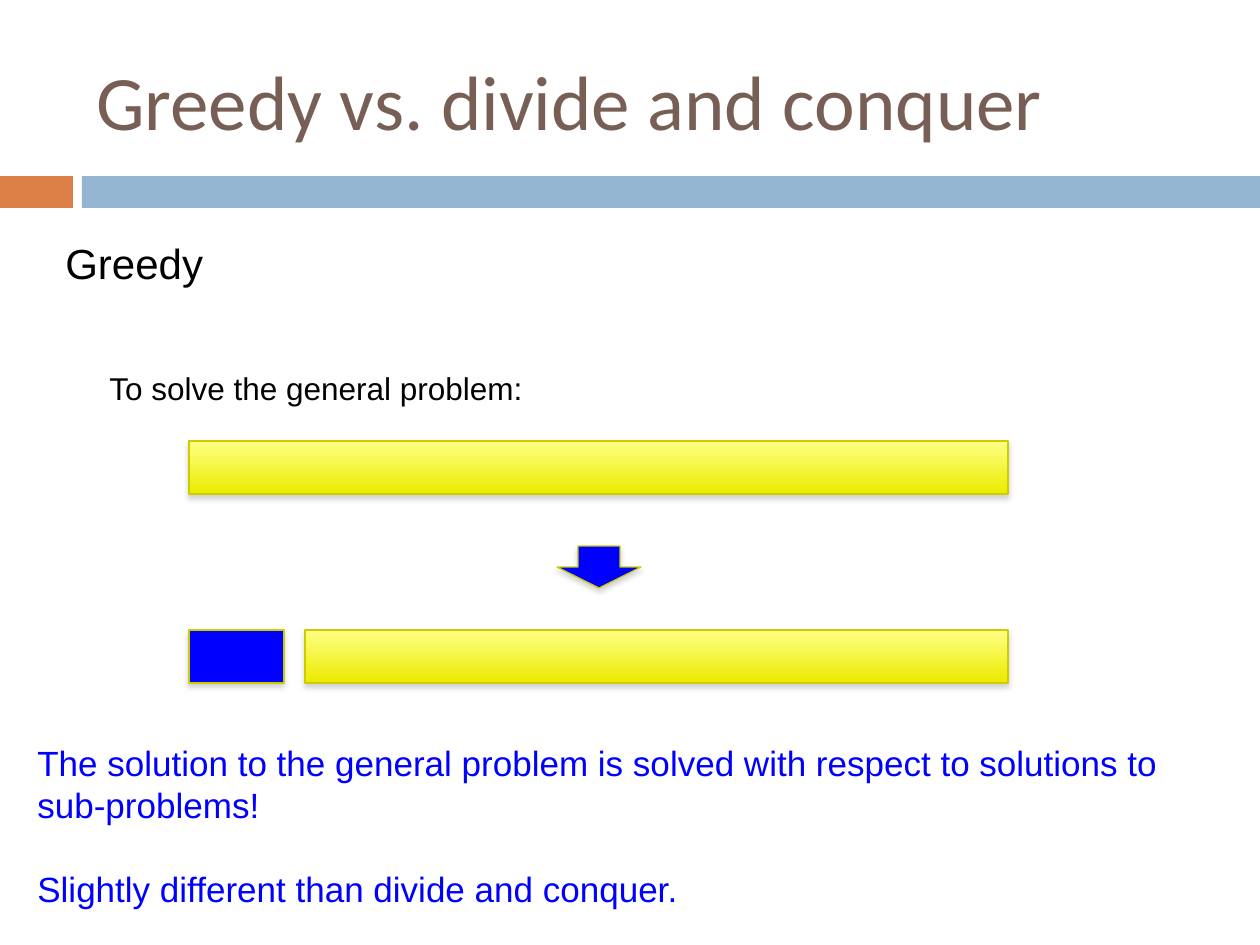
import dataclasses

import pptx
import pptx.dml.color
import pptx.enum.shapes
import pptx.enum.text
import pptx.oxml
import pptx.oxml.ns
import pptx.util

SHAPE = pptx.enum.shapes.MSO_SHAPE
ANCHOR = pptx.enum.text.MSO_ANCHOR
FIT = pptx.enum.text.MSO_AUTO_SIZE
SCALE = 914400 / 126

SHADOW = """<a:effectLst %s>
  <a:outerShdw blurRad="39370" dist="22860" dir="5400000" rotWithShape="0">
    <a:srgbClr val="%s"><a:alpha val="35000"/></a:srgbClr>
  </a:outerShdw>
</a:effectLst>"""


@dataclasses.dataclass(frozen=True)
class Theme:
    title: str = "775F55"
    accent: str = "DD8047"
    band: str = "94B6D2"
    ink: str = "000000"
    blue: str = "0000FF"
    yellow: tuple = ("FFFF85", "EBEB00")
    edge: str = "CCCC00"
    shade: str = "808080"
    head: str = "Calibri"
    body: str = "Arial"
    huge: int = 44
    large: int = 24
    mid: int = 20
    small: int = 18


THEME = Theme()


def emu(px):
    return round(px * SCALE)


def rgb(code):
    return pptx.dml.color.RGBColor.from_string(code)


def apply(target, values):
    for name, value in values.items():
        setattr(target, name, value)


def paint(fill, color):
    """Fill with one colour, or a top-to-bottom gradient for a pair."""
    if isinstance(color, str):
        fill.solid()
        fill.fore_color.rgb = rgb(color)
        return
    fill.gradient()
    fill.gradient_angle = 270
    for place, (stop, code) in enumerate(zip(fill.gradient_stops, color)):
        apply(stop, {"position": place})
        stop.color.rgb = rgb(code)


def add_block(slide, box, color, kind=SHAPE.RECTANGLE):
    """Add a plain filled shape without line or shadow."""
    block = slide.shapes.add_shape(kind, *map(emu, box))
    block.shadow.inherit = False
    paint(block.fill, color)
    block.line.fill.background()
    return block


def add_raised(slide, box, color, kind=SHAPE.RECTANGLE):
    """Add a shape with a thin yellow edge and a soft shadow."""
    block = add_block(slide, box, color, kind)
    paint(block.line.fill, THEME.edge)
    block.line.width = pptx.util.Pt(0.75)
    props = block.element.spPr
    props.remove(props.find(pptx.oxml.ns.qn("a:effectLst")))
    spaces = pptx.oxml.ns.nsdecls("a")
    props.append(pptx.oxml.parse_xml(SHADOW % (spaces, THEME.shade)))


def add_text(slide, box, lines, font, color, frame, para=None):
    area = slide.shapes.add_textbox(*map(emu, box)).text_frame
    apply(area, frame)
    for index, line in enumerate(lines):
        part = area.add_paragraph() if index else area.paragraphs[0]
        apply(part, para or {})
        run = part.add_run()
        run.text = line
        apply(run.font, font)
        run.font.color.rgb = rgb(color)


def main():
    deck = pptx.Presentation()
    apply(deck, {"slide_width": emu(1260), "slide_height": emu(945)})
    slide = deck.slides.add_slide(deck.slide_layouts[6])

    add_block(slide, (0, 176, 73, 32), THEME.accent)
    add_block(slide, (82, 176, 1178, 32), THEME.band)
    add_text(slide, (84, 32, 1124, 136), ["Greedy vs. divide and conquer"],
             {"name": THEME.head, "size": pptx.util.Pt(THEME.huge)},
             THEME.title,
             {"word_wrap": True, "vertical_anchor": ANCHOR.MIDDLE})

    label = {"word_wrap": False, "auto_size": FIT.SHAPE_TO_FIT_TEXT}
    for box, line, size in (
        ((53, 231, 165, 64), "Greedy", THEME.large),
        ((97, 363, 442, 50), "To solve the general problem:", THEME.small),
    ):
        add_text(slide, box, [line],
                 {"name": THEME.body, "size": pptx.util.Pt(size)},
                 THEME.ink, label)

    left, right, high = 189, 1008, 53
    first, rest = 95, 305
    add_raised(slide, (left, 441, right - left, high), THEME.yellow)
    add_raised(slide, (left, 630, first, high), THEME.blue)
    add_raised(slide, (rest, 630, right - rest, high), THEME.yellow)
    add_raised(slide, (557, 546, 84, 42), THEME.blue, SHAPE.DOWN_ARROW)

    pitch = pptx.util.Pt(24)
    add_text(slide, (25, 735, 1182, 183),
             ["The solution to the general problem is solved with respect "
              "to solutions to sub-problems!",
              "Slightly different than divide and conquer."],
             {"name": THEME.body, "size": pptx.util.Pt(THEME.mid)},
             THEME.blue, {**label, "word_wrap": True},
             {"line_spacing": pitch, "space_after": pitch})

    deck.save("out.pptx")


if __name__ == "__main__":
    main()
